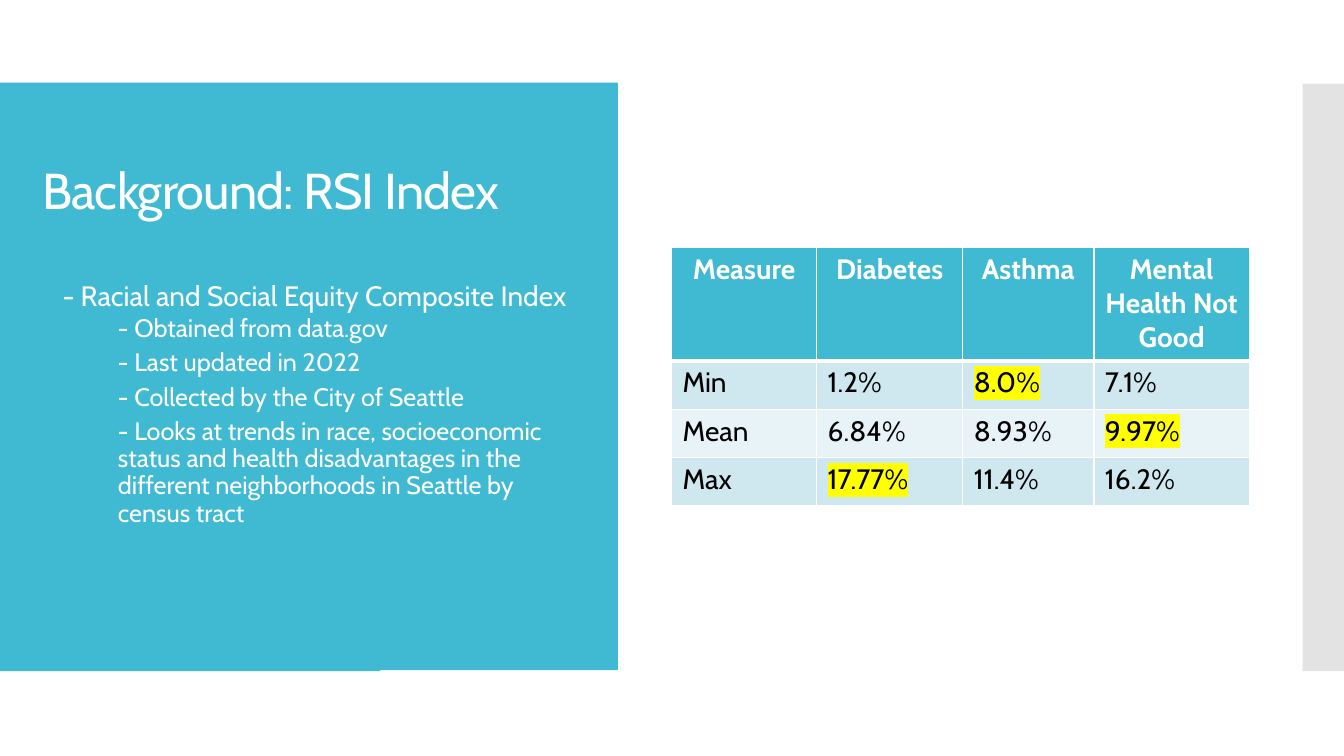
from dataclasses import dataclass

import lxml.etree
import pptx
import pptx.dml.color
import pptx.enum.shapes
import pptx.enum.text
import pptx.oxml.ns
import pptx.util

Inches = pptx.util.Inches
Pt = pptx.util.Pt
qn = pptx.oxml.ns.qn
Align = pptx.enum.text.PP_ALIGN
Anchor = pptx.enum.text.MSO_ANCHOR


@dataclass(frozen=True)
class Theme:
    font: str = "Cabin"
    teal: str = "40BAD2"
    white: str = "FFFFFF"
    black: str = "000000"
    grey: str = "C8C8C8"
    band_dark: str = "CFE7EE"
    band_light: str = "E8F3F7"
    marker: str = "FFFF00"
    title_size: float = 36
    lead_size: float = 20
    detail_size: float = 18
    table_size: float = 20


@dataclass(frozen=True)
class Panel:
    left: float
    top: float
    width: float
    color: str
    opacity: int = 100
    height: float = 5.83


@dataclass(frozen=True)
class Point:
    text: str
    level: int = 1


THEME = Theme()

PANELS = [
    Panel(0, 0.83, 3.77, THEME.teal),
    Panel(12.92, 0.83, 0.41, THEME.grey, opacity=50),
    Panel(0, 0.82, 6.13, THEME.teal),
]

POINTS = [
    Point("- Racial and Social Equity Composite Index", level=0),
    Point("- Obtained from data.gov"),
    Point("- Last updated in 2022"),
    Point("- Collected by the City of Seattle"),
    Point("- Looks at trends in race, socioeconomic status and health disadvantages "
          "in the different neighborhoods in Seattle by census tract"),
]

MEASURES = [
    ["Measure", "Diabetes", "Asthma", "Mental Health Not Good"],
    ["Min", "1.2%", "8.0%", "7.1%"],
    ["Mean", "6.84%", "8.93%", "9.97%"],
    ["Max", "17.77%", "11.4%", "16.2%"],
]
MARKED = {"8.0%", "9.97%", "17.77%"}
COLUMN_WIDTHS = [1.44, 1.45, 1.3, 1.54]
ROW_HEIGHTS = [1.13, 0.48, 0.48, 0.48]


def rgb(color: str) -> pptx.dml.color.RGBColor:
    return pptx.dml.color.RGBColor.from_string(color)


def add_color(parent, tag: str, color: str):
    """Append a color holder such as a:solidFill and return its color element."""
    holder = lxml.etree.SubElement(parent, qn(tag))
    return lxml.etree.SubElement(holder, qn("a:srgbClr"), val=color)


def set_font(para, size: float, color: str, bold: bool = False) -> None:
    para.font.name = THEME.font
    para.font.size = Pt(size)
    para.font.bold = bold
    para.font.color.rgb = rgb(color)


def add_panel(page, panel: Panel) -> None:
    box = page.shapes.add_shape(
        pptx.enum.shapes.MSO_SHAPE.RECTANGLE, Inches(panel.left), Inches(panel.top),
        Inches(panel.width), Inches(panel.height))
    box.shadow.inherit = False
    box.line.fill.background()
    box.fill.solid()
    box.fill.fore_color.rgb = rgb(panel.color)
    if panel.opacity < 100:
        color = box._element.spPr.find(qn("a:solidFill"))[0]
        lxml.etree.SubElement(color, qn("a:alpha"), val=str(panel.opacity * 1000))


def place(box, top: float, height: float, anchor) -> None:
    """Put a placeholder in the left column, in front of the panels."""
    box.left, box.top = Inches(0.32), Inches(top)
    box.width, box.height = Inches(5.47), Inches(height)
    box.text_frame.word_wrap = True
    box.text_frame.auto_size = pptx.enum.text.MSO_AUTO_SIZE.NONE
    box.text_frame.vertical_anchor = anchor
    box._element.getparent().append(box._element)


def fill_title(box, text: str) -> None:
    place(box, 1.23, 1.37, Anchor.MIDDLE)
    para = box.text_frame.paragraphs[0]
    para.text = text
    para.alignment = Align.LEFT
    para.line_spacing = 0.9
    set_font(para, THEME.title_size, THEME.white)
    para.font._element.set("spc", "-60")


def fill_list(box, points: list[Point]) -> None:
    place(box, 2.75, 3.58, Anchor.TOP)
    frame = box.text_frame
    for index, point in enumerate(points):
        para = frame.add_paragraph() if index else frame.paragraphs[0]
        para.text = point.text
        para.level = point.level
        para.alignment = Align.LEFT
        para.line_spacing = 0.9
        para.space_before = para.space_after = Pt(2.5 if point.level else 0)
        # Bullets with a hanging indent
        props = para._p.get_or_add_pPr()
        props.set("marL", str(Inches(0.75 if point.level else 0.2)))
        props.set("indent", str(-Inches(0.2)))
        add_color(props, "a:buClr", THEME.teal)
        lxml.etree.SubElement(props, qn("a:buChar"), char="•")
        set_font(para, THEME.detail_size if point.level else THEME.lead_size, THEME.white)


def set_borders(cell, row: int) -> None:
    """White rules, thicker between the header and the values."""
    props = cell._tc.get_or_add_tcPr()
    widths = {"L": 1, "R": 1, "T": 3 if row == 1 else 1, "B": 3 if row == 0 else 1}
    for side, width in widths.items():
        line = lxml.etree.SubElement(props, qn(f"a:ln{side}"), w=str(Pt(width)))
        add_color(line, "a:solidFill", THEME.white)


def fill_cell(cell, row: int, text: str) -> None:
    header = row == 0
    set_borders(cell, row)
    cell.fill.solid()
    band = THEME.band_dark if row % 2 else THEME.band_light
    cell.fill.fore_color.rgb = rgb(THEME.teal if header else band)
    cell.margin_left = cell.margin_right = Inches(0.11)
    cell.margin_top = cell.margin_bottom = Inches(0.05)
    para = cell.text_frame.paragraphs[0]
    span = para.add_run()
    span.text = text
    para.alignment = Align.CENTER if header else Align.LEFT
    set_font(para, THEME.table_size, THEME.white if header else THEME.black, bold=header)
    if text in MARKED:
        add_color(span._r.get_or_add_rPr(), "a:highlight", THEME.marker)


def add_measures(page) -> None:
    table = page.shapes.add_table(
        len(MEASURES), len(COLUMN_WIDTHS), Inches(6.66), Inches(2.45),
        Inches(sum(COLUMN_WIDTHS)), Inches(sum(ROW_HEIGHTS))).table
    table.horz_banding = False
    for column, width in zip(table.columns, COLUMN_WIDTHS):
        column.width = Inches(width)
    for row, height in zip(table.rows, ROW_HEIGHTS):
        row.height = Inches(height)
    for row, texts in enumerate(MEASURES):
        for column, text in enumerate(texts):
            fill_cell(table.cell(row, column), row, text)


def main() -> None:
    deck = pptx.Presentation()
    deck.slide_width, deck.slide_height = Inches(13.33), Inches(7.5)
    page = deck.slides.add_slide(deck.slide_layouts[1])
    page.background.fill.solid()
    page.background.fill.fore_color.rgb = rgb(THEME.white)

    # Colored panels
    for panel in PANELS:
        add_panel(page, panel)

    # Title and list
    fill_title(page.shapes.title, "Background: RSI Index")
    fill_list(page.placeholders[1], POINTS)

    # Table of health measures
    add_measures(page)
    deck.save("out.pptx")


if __name__ == "__main__":
    main()
